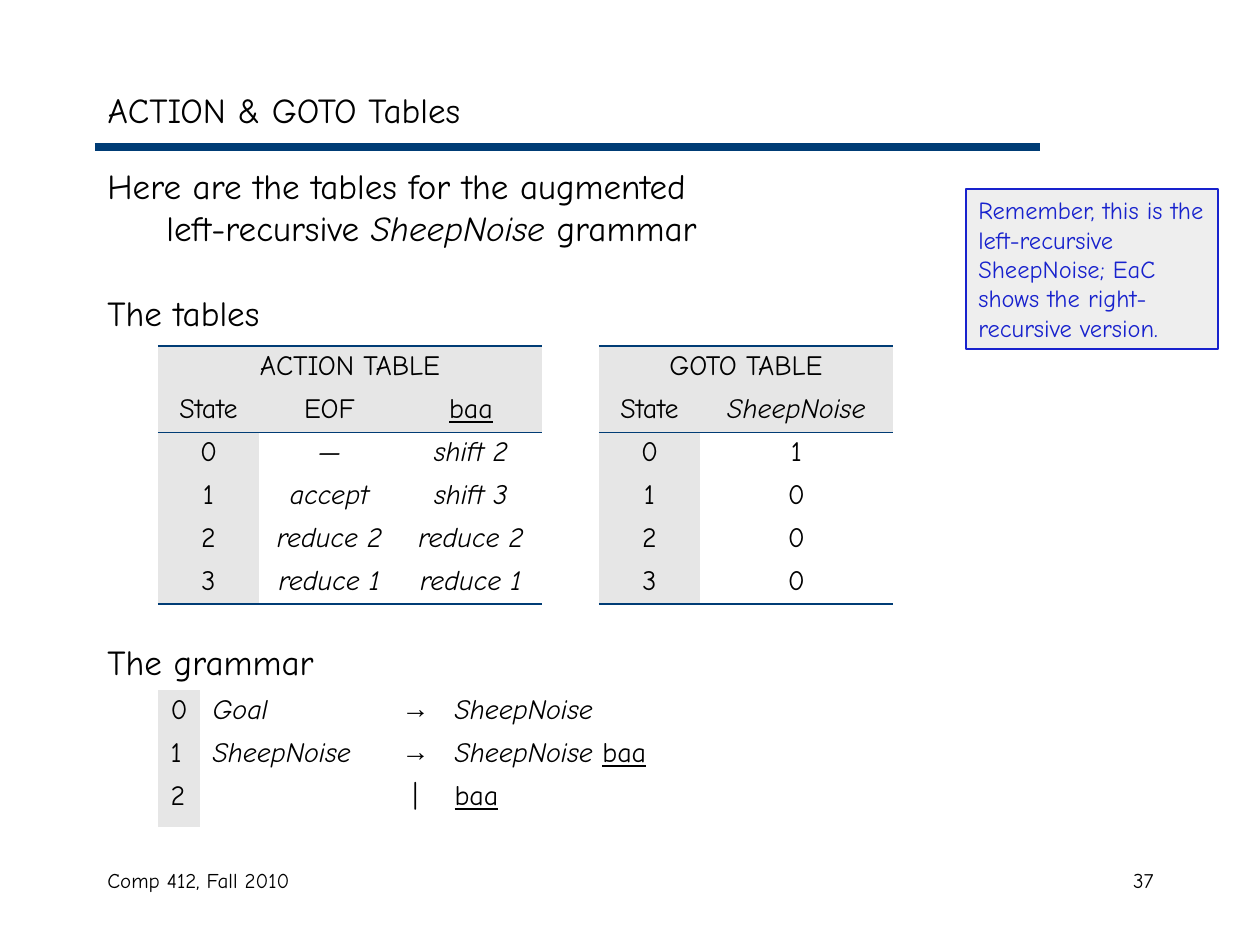
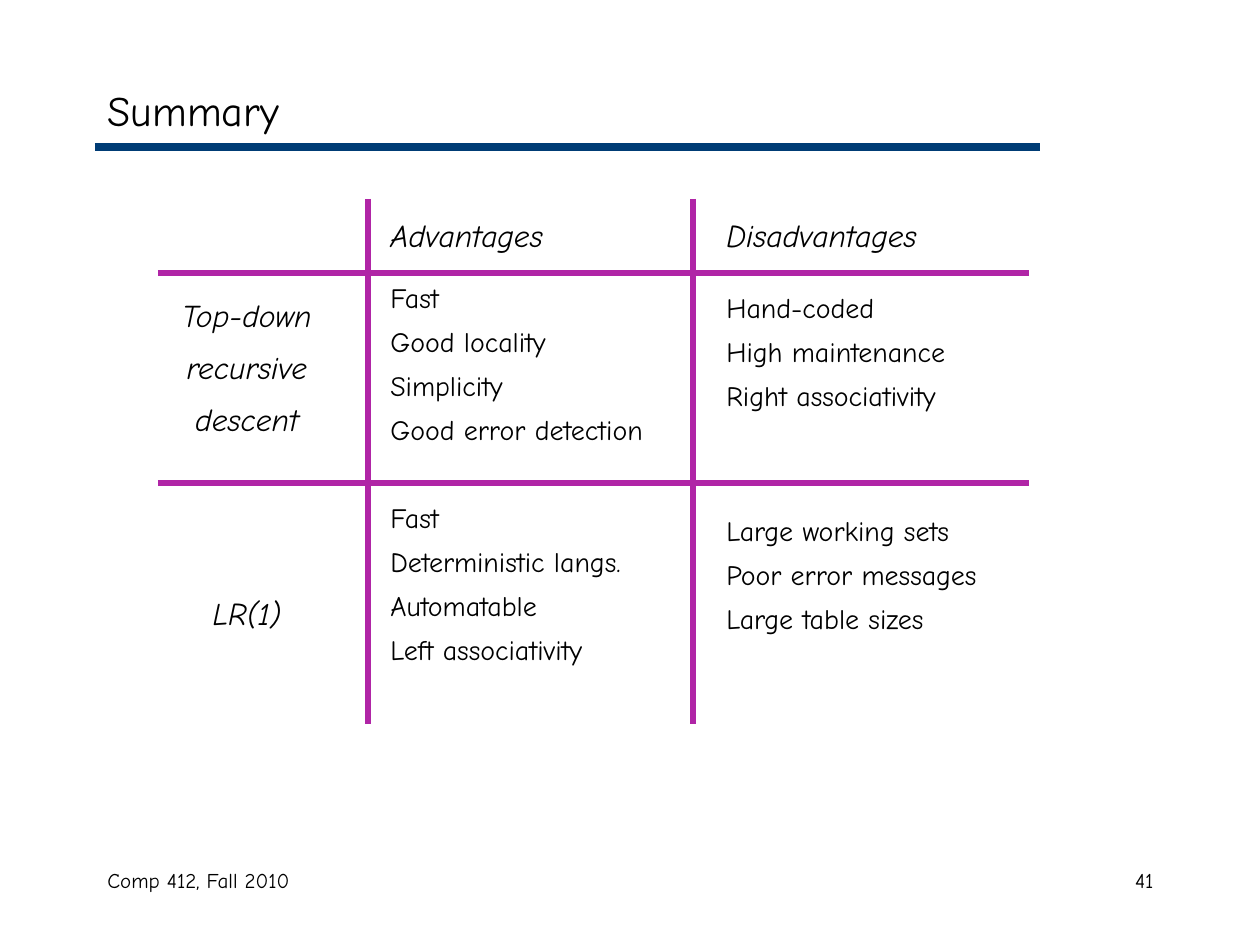
from lxml import etree
from pptx import Presentation
from pptx.dml.color import RGBColor
from pptx.enum.shapes import MSO_CONNECTOR as Line, MSO_SHAPE as Shape
from pptx.enum.text import MSO_ANCHOR as Anchor, MSO_AUTO_SIZE as Fit, PP_ALIGN as Align
from pptx.oxml import parse_xml
from pptx.oxml.ns import nsdecls, qn
from pptx.util import Emu, Pt

FACE = "Comic Neue"
BLACK, NAVY, BLUE, PURPLE = "000000", "003C75", "1822CD", "B025A6"
GREY, PALE, WHITE = "E6E6E6", "EEEEEE", "FFFFFF"
NO_STYLE = "{2D5ABB26-0587-4C30-8999-92F81FD0307C}"
LEFT, MID, RIGHT = Align.LEFT, Align.CENTER, Align.RIGHT
ROW = 43
BAA = ("baa", "u")


def px(n):
    return Emu(round(n * 914400 / 126))


def rgb(code):
    return RGBColor.from_string(code)


def it(text):
    return (text, "i")


def put(par, parts, size, color=BLACK, align=LEFT, gap=0):
    """Fill a paragraph; a part is a string or (text, "i" or "u")."""
    par.alignment = align
    par.space_before = Pt(gap)
    for part in parts if isinstance(parts, list) else [parts]:
        text, style = part if isinstance(part, tuple) else (part, "")
        run = par.add_run()
        run.text = text
        font = run.font
        font.name = "Arial" if text == "→" else FACE
        font.size = Pt(size)
        font.color.rgb = rgb(color)
        font.italic = style == "i"
        font.underline = style == "u"


def frame(shape, anchor=Anchor.TOP):
    box = shape.text_frame
    box.word_wrap = True
    box.auto_size = Fit.NONE
    box.vertical_anchor = anchor
    box.margin_left = box.margin_right = Pt(7.2)
    box.margin_top = box.margin_bottom = Pt(3.6)
    return box


def add_text(slide, area, lines, align=LEFT):
    """Add a text box; each line is (parts, size, space before)."""
    box = frame(slide.shapes.add_textbox(*map(px, area)))
    for i, (parts, size, gap) in enumerate(lines):
        par = box.add_paragraph() if i else box.paragraphs[0]
        put(par, parts, size, align=align, gap=gap)
    return box


def add_rule(slide, ends, color, width):
    rule = slide.shapes.add_connector(Line.STRAIGHT, *map(px, ends))
    rule.line.color.rgb = rgb(color)
    rule.line.width = Pt(width)
    etree.SubElement(rule._element.spPr, qn("a:effectLst"))


def add_note(slide, area, text):
    note = slide.shapes.add_shape(Shape.RECTANGLE, *map(px, area))
    note.shadow.inherit = False
    note.fill.solid()
    note.fill.fore_color.rgb = rgb(PALE)
    note.line.color.rgb = rgb(BLUE)
    note.line.width = Pt(1)
    put(frame(note).paragraphs[0], text, 14, BLUE)


def new_slide(deck, title, size, number):
    slide = deck.slides.add_slide(deck.slide_layouts[5])
    head = slide.shapes.title
    head.left, head.top, head.width, head.height = map(px, (95, 73, 1071, 73))
    put(frame(head, Anchor.MIDDLE).paragraphs[0], title, size)
    add_rule(slide, (95, 147, 1040, 147), NAVY, 4.5)
    add_text(slide, (95, 861, 399, 63), [("Comp 412, Fall 2010", 12, 0)])
    add_text(slide, (903, 861, 263, 63), [(number, 12, 0)], RIGHT)
    return slide


def add_edge(cell, side, width):
    cell._tc.get_or_add_tcPr().append(parse_xml(
        f'<a:ln{side} {nsdecls("a")} w="{Pt(width)}"><a:solidFill>'
        f'<a:srgbClr val="{NAVY}"/></a:solidFill></a:ln{side}>'))


def add_grid(slide, left, top, cols, rows, heights):
    """Add a plain table of empty cells."""
    area = map(px, (left, top, sum(cols), sum(heights)))
    table = slide.shapes.add_table(len(rows), len(cols), *area).table
    table.first_row = table.horz_banding = False
    table._tbl.tblPr.find(qn("a:tableStyleId")).text = NO_STYLE
    for col, width in zip(table.columns, cols):
        col.width = px(width)
    for row, height in zip(table.rows, heights):
        row.height = px(height)
    return table


def set_cell(cell, parts, fill, align):
    if fill:
        cell.fill.solid()
        cell.fill.fore_color.rgb = rgb(fill)
    else:
        cell.fill.background()
    if parts:
        par = cell.text_frame.paragraphs[0]
        put(par, parts, 16, align=align)
        par.line_spacing = 0.9


def add_states(slide, left, cols, name, rows):
    """Add a parse table: a merged name row, a header row and the states."""
    rows = [[name] + [""] * (len(cols) - 1)] + rows
    last = len(rows) - 1
    table = add_grid(slide, left, 346, cols, rows, [ROW] * len(rows))
    edges = {0: ("T", 1), 1: ("B", 0.5), last: ("B", 1)}
    for r, row in enumerate(rows):
        for c, parts in enumerate(row):
            cell = table.cell(r, c)
            if r in edges:
                add_edge(cell, *edges[r])
            set_cell(cell, parts, GREY if r < 2 or c == 0 else WHITE, MID)
    table.cell(0, 0).merge(table.cell(0, len(cols) - 1))


def add_rules(slide, rows):
    """Add the numbered grammar rules."""
    table = add_grid(slide, 158, 690, (42, 189, 53, 242), rows, (ROW, ROW, 51))
    for r, row in enumerate(rows):
        for c, parts in enumerate(row):
            set_cell(table.cell(r, c), parts, None if c else GREY,
                     MID if c == 2 else LEFT)


def tables_slide(deck):
    slide = new_slide(deck, "ACTION & GOTO Tables", 20, "37")
    noise = it("SheepNoise")
    body = add_text(slide, (95, 158, 850, 683), [
        ("Here are the tables for the augmented", 20, 0),
        (["left-recursive ", noise, " grammar"], 20, 0),
        ("The tables", 20, 25),
        ("The grammar", 20, 175)])
    body.paragraphs[1]._p.get_or_add_pPr().set("marL", str(px(59)))
    add_note(slide, (966, 189, 252, 160),
             "Remember, this is the left-recursive SheepNoise; "
             "EaC shows the right-recursive version.")
    add_rules(slide, [
        ["0", it("Goal"), "→", noise],
        ["1", noise, "→", [it("SheepNoise "), BAA]],
        ["2", "", "|", BAA]])
    add_states(slide, 158, (101, 141, 142), "ACTION TABLE", [
        ["State", "EOF", BAA],
        ["0", it("—"), it("shift 2")],
        ["1", it("accept"), it("shift 3")],
        ["2", it("reduce 2"), it("reduce 2")],
        ["3", it("reduce 1"), it("reduce 1")]])
    add_states(slide, 599, (101, 193), "GOTO TABLE", [
        ["State", noise], ["0", "1"], ["1", "0"], ["2", "0"], ["3", "0"]])


def add_points(slide, left, head, groups):
    """Add a column: a heading, then groups of (space before, points)."""
    lines = [(it(head), 18, 0)]
    for gap, points in groups:
        lines += [(point, 16, 6 if i else gap) for i, point in enumerate(points)]
    add_text(slide, (left, 210, 325, 464), lines)


def summary_slide(deck):
    slide = new_slide(deck, "Summary", 24, "41")
    add_points(slide, 378, "Advantages", [
        (15, ["Fast", "Good locality", "Simplicity", "Good error detection"]),
        (31, ["Fast", "Deterministic langs.", "Automatable", "Left associativity"])])
    add_points(slide, 714, "Disadvantages", [
        (21, ["Hand-coded", "High maintenance", "Right associativity"]),
        (57.5, ["Large working sets", "Poor error messages", "Large table sizes"])])
    for top, height, words in ((290, 154, ["Top-down", "recursive", "descent"]),
                               (588, 50, ["LR(1)"])):
        add_text(slide, (147, top, 200, height),
                 [(it(word), 18, 8 if i else 0) for i, word in enumerate(words)],
                 MID)
    for y in (273, 483):
        add_rule(slide, (158, y, 1029, y), PURPLE, 3)
    for x in (368, 693):
        add_rule(slide, (x, 199, x, 724), PURPLE, 3)


def main():
    deck = Presentation()
    deck.slide_width, deck.slide_height = px(1260), px(945)
    tables_slide(deck)
    summary_slide(deck)
    deck.save("out.pptx")


if __name__ == "__main__":
    main()
